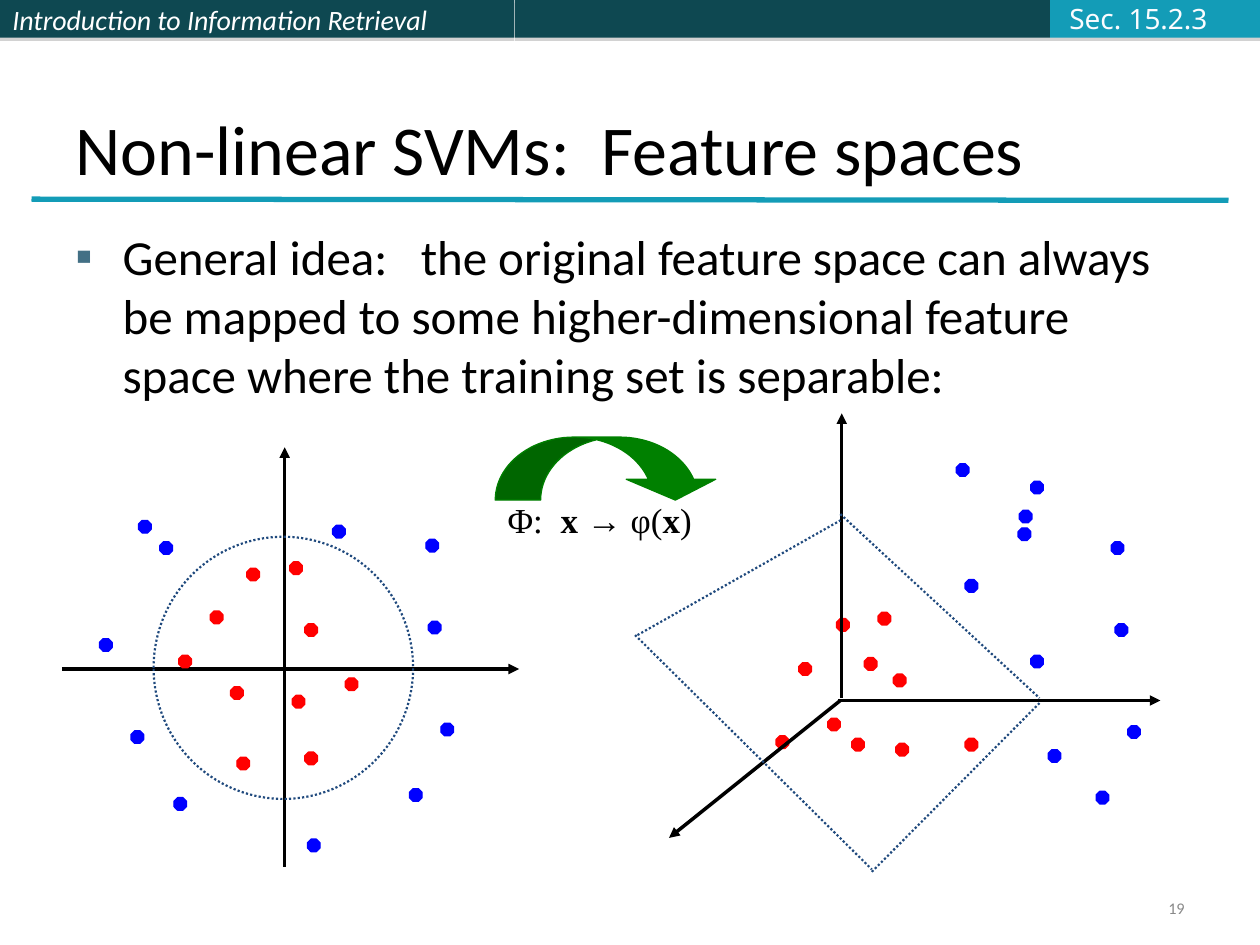
from dataclasses import dataclass
from lxml.etree import SubElement
from pptx import Presentation
from pptx.dml.color import RGBColor
from pptx.enum.dml import MSO_LINE
from pptx.enum.shapes import MSO_CONNECTOR, MSO_SHAPE
from pptx.enum.text import MSO_ANCHOR, PP_ALIGN
from pptx.oxml.ns import qn
from pptx.util import Pt


@dataclass(frozen=True)
class Theme:
    dark: str = "0E4851"
    teal: str = "139CB7"
    pale: str = "FBFCFF"
    white: str = "FFFFFF"
    black: str = "000000"
    grey: str = "898989"
    shade: str = "808080"
    steel: str = "437085"
    navy: str = "1F497D"
    red: str = "FF0000"
    blue: str = "0000FF"
    green: str = "008000"
    sans: str = "Calibri"
    tag: str = "Noto Sans"
    serif: str = "Times New Roman"
    title: float = 40
    body: float = 28
    math: float = 20
    head: float = 16
    foot: float = 9.3


THEME = Theme()
DOT = 7.2
LEFT_RED = [
    (129.6, 69.1), (84.2, 97.2), (95.8, 140.4), (138.2, 177.8), (105.1, 72.7),
    (66.2, 122.4), (99.4, 180.7), (138.2, 104.4), (161.3, 135.4), (131, 145.4),
]
LEFT_BLUE = [
    (208.8, 103), (198, 198.7), (20.9, 113), (139.7, 227.5), (216, 161.3), (63.4, 203.8),
    (38.9, 165.6), (43.2, 45.4), (154.1, 48.2), (55.4, 57.6), (207.4, 56.2),
]
RIGHT_RED = [
    (141.8, 115.9), (96.5, 144.7), (126.7, 187.9), (191.5, 187.9), (118.1, 119.5),
    (133.9, 141.8), (151.9, 190.8), (150.5, 151.2), (113, 176.4), (83.5, 186.5),
]
RIGHT_BLUE = [
    (277.2, 122.4), (266.4, 218.2), (229, 41), (229, 140.4), (284.4, 180.7), (191.5, 97.2),
    (239, 194.4), (222.5, 57.6), (221.8, 67.7), (186.5, 31), (275, 75.6),
]


def apply(item, form):
    for name, value in form.items():
        setattr(item, name, value)


def color(text):
    return RGBColor.from_string(text)


def add_form(slide, kind, box, fill=None, line=None, width=0.75):
    shape = slide.shapes.add_shape(kind, *map(Pt, box))
    shape.shadow.inherit = False
    if fill:
        shape.fill.solid()
        shape.fill.fore_color.rgb = color(fill)
    else:
        shape.fill.background()
    if line:
        shape.line.color.rgb = color(line)
        shape.line.width = Pt(width)
    else:
        shape.line.fill.background()
    return shape


def add_line(slide, ends, tint, width, dash=None, arrow=False):
    line = slide.shapes.add_connector(MSO_CONNECTOR.STRAIGHT, *map(Pt, ends))
    line.line.color.rgb = color(tint)
    apply(line.line, {"width": Pt(width), "dash_style": dash})
    if arrow:
        SubElement(line.line._get_or_add_ln(), qn("a:tailEnd"), type="triangle")
    SubElement(line._element.spPr, qn("a:effectLst"))


def add_text(slide, box, runs, font, size, tint, form=None, para=None, **style):
    frame = slide.shapes.add_textbox(*map(Pt, box)).text_frame
    apply(frame, {"word_wrap": True, **(form or {})})
    first = frame.paragraphs[0]
    apply(first, para or {})
    for text, bold in runs:
        run = first.add_run()
        run.text = text
        apply(run.font, {"name": font, "size": Pt(size), "bold": bold, **style})
        run.font.color.rgb = color(tint)
    return first


def add_shade(shape):
    glow = SubElement(shape._element.spPr.find(qn("a:effectLst")), qn("a:outerShdw"),
                      blurRad="0", dist=str(Pt(1.8)), dir="5400000", rotWithShape="0")
    tint = SubElement(glow, qn("a:srgbClr"), val=THEME.shade)
    SubElement(tint, qn("a:alpha"), val="35000")


def add_head(slide, box):
    x, y, w, h = box
    mid, end = x + 294, x + 600
    bars = [(x, mid - 0.3, THEME.dark), (mid, end, THEME.dark), (end, x + w, THEME.teal)]
    for start, stop, fill in bars:
        add_shade(add_form(slide, MSO_SHAPE.RECTANGLE, (start, y, stop - start, h), fill))
    form = {"vertical_anchor": MSO_ANCHOR.MIDDLE}
    add_text(slide, (x, y, 294, h), [("Introduction to Information Retrieval", False)],
             THEME.sans, THEME.head, THEME.white, form, italic=True)
    add_text(slide, (x + 604, y - 2.9, 112, 26.6), [("Sec. 15.2.3", False)], THEME.tag,
             THEME.head, THEME.pale, form)


def add_title(slide, box):
    x, y, w, h = box
    add_line(slide, (x - 18, y + h + 2.2, x + w + 18, y + h + 2.9), THEME.teal, 3)
    add_text(slide, box, [("Non-linear SVMs:  Feature spaces", False)], THEME.sans,
             THEME.title, THEME.black, {"vertical_anchor": MSO_ANCHOR.BOTTOM})


def add_body(slide, box):
    text = ("General idea:   the original feature space can always be mapped to some "
            "higher-dimensional feature space where the training set is separable:")
    first = add_text(slide, box, [(text, False)], THEME.sans, THEME.body, THEME.black,
                     para={"space_before": Pt(7)})
    props = first._p.get_or_add_pPr()
    for name, value in {"marL": Pt(27), "indent": -Pt(27)}.items():
        props.set(name, str(value))
    tint = SubElement(props, qn("a:buClr"))
    SubElement(tint, qn("a:srgbClr"), val=THEME.steel)
    SubElement(props, qn("a:buFont"), typeface=THEME.serif)
    SubElement(props, qn("a:buChar"), char="▪")


def add_dots(slide, x, y, groups):
    for tint, spots in groups.items():
        for dx, dy in spots:
            dot = add_form(slide, MSO_SHAPE.OCTAGON, (x + dx, y + dy, DOT, DOT), tint, tint)
            dot.adjustments[0] = 0.293


def add_lines(slide, x, y, rows, *style):
    for a, b, c, d in rows:
        add_line(slide, (x + a, y + b, x + c, y + d), *style)


def add_flat(slide, box):
    x, y, w, h = box
    axes = [(126.7, h, 126.7, 3.6), (-0.7, 130.3, w, 130.3)]
    add_lines(slide, x, y, axes, THEME.black, 2, None, True)
    add_dots(slide, x, y, {THEME.red: LEFT_RED, THEME.blue: LEFT_BLUE})
    ring = add_form(slide, MSO_SHAPE.OVAL, (x + 51.8, y + 54.7, 148.3, 149.8),
                    None, THEME.navy, 1.25)
    ring.line.dash_style = MSO_LINE.ROUND_DOT


def add_space(slide, box):
    x, y, w, h = box
    axes = [(121, 164.9, 121, 2.2), (118.8, 166.3, w, 166.3), (120.2, 166.3, 22.3, 244.8)]
    plane = [(120.2, 59.8, 234, 164.9), (138.2, h, 234, 167.8),
             (4.3, 128.9, 120.2, 63.4), (2.9, 128.9, 138.2, 262.8)]
    add_dots(slide, x, y, {THEME.red: RIGHT_RED, THEME.blue: RIGHT_BLUE})
    add_lines(slide, x, y, axes, THEME.black, 2, None, True)
    add_lines(slide, x, y, plane, THEME.navy, 1.25, MSO_LINE.ROUND_DOT)


def add_map(slide, box):
    x, y, w, h = box
    arrow = add_form(slide, MSO_SHAPE.CURVED_DOWN_ARROW, (x, y, w, 36),
                     THEME.green, THEME.green)
    for spot, value in enumerate((0.72, 1.42, 0.33)):
        arrow.adjustments[spot] = value
    runs = [("Φ:  ", False), ("x → ", True), ("φ(", False), ("x", True), (")", False)]
    add_text(slide, (x, y + 31.7, w, h - 31.7), runs, THEME.serif, THEME.math,
             THEME.black, para={"space_before": Pt(12.5)})


def add_foot(slide, box):
    add_text(slide, box, [("19", False)], THEME.sans, THEME.foot, THEME.grey,
             {"vertical_anchor": MSO_ANCHOR.MIDDLE},
             {"alignment": PP_ALIGN.RIGHT, "line_spacing": 0.8})


def main():
    deck = Presentation()
    apply(deck, {"slide_width": Pt(720), "slide_height": Pt(540)})
    slide = deck.slides.add_slide(deck.slide_layouts[6])
    add_head(slide, (0, 0, 720, 21.6))
    add_title(slide, (36, 21.6, 648, 90))
    add_body(slide, (36, 126, 648, 390))
    add_flat(slide, (36, 252, 260.6, 243.4))
    add_space(slide, (360, 234, 303.1, 264.2))
    add_map(slide, (283, 249.8, 128.5, 66.3))
    add_foot(slide, (516, 510, 168, 19.4))
    deck.save("out.pptx")


if __name__ == "__main__":
    main()
